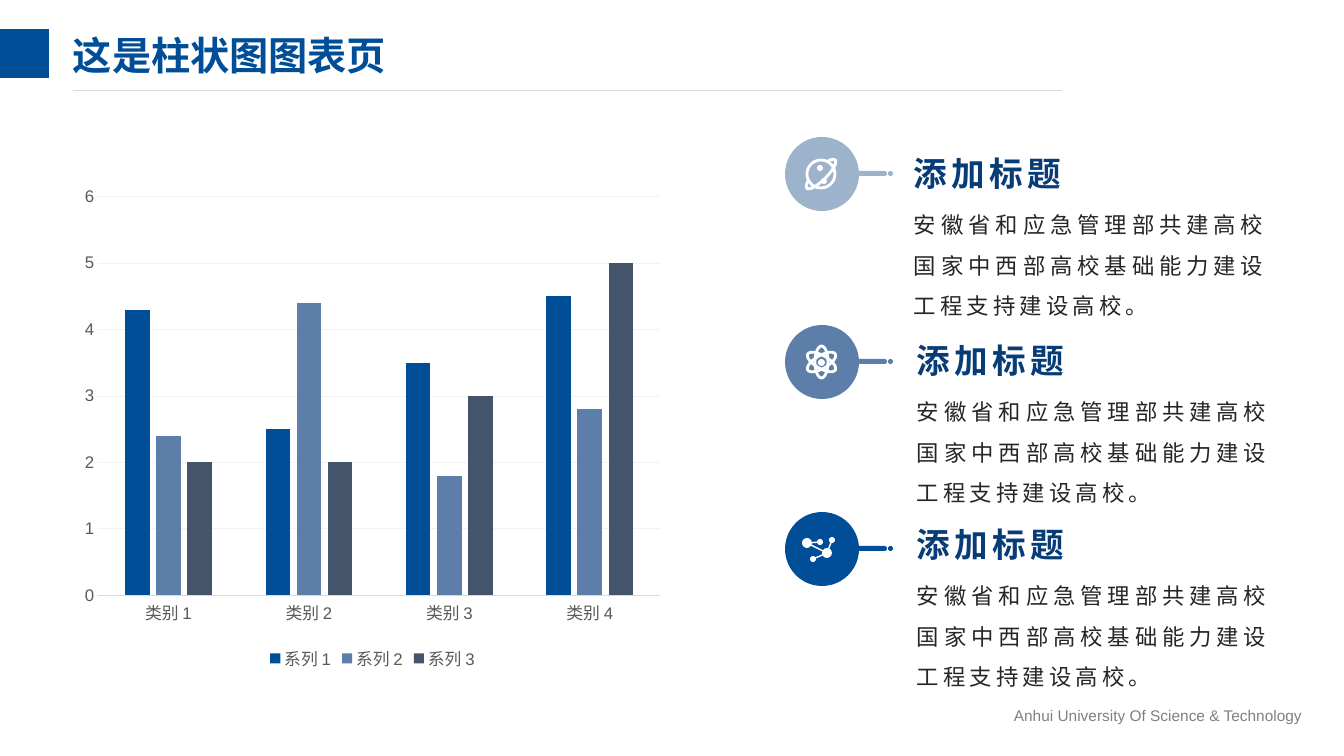
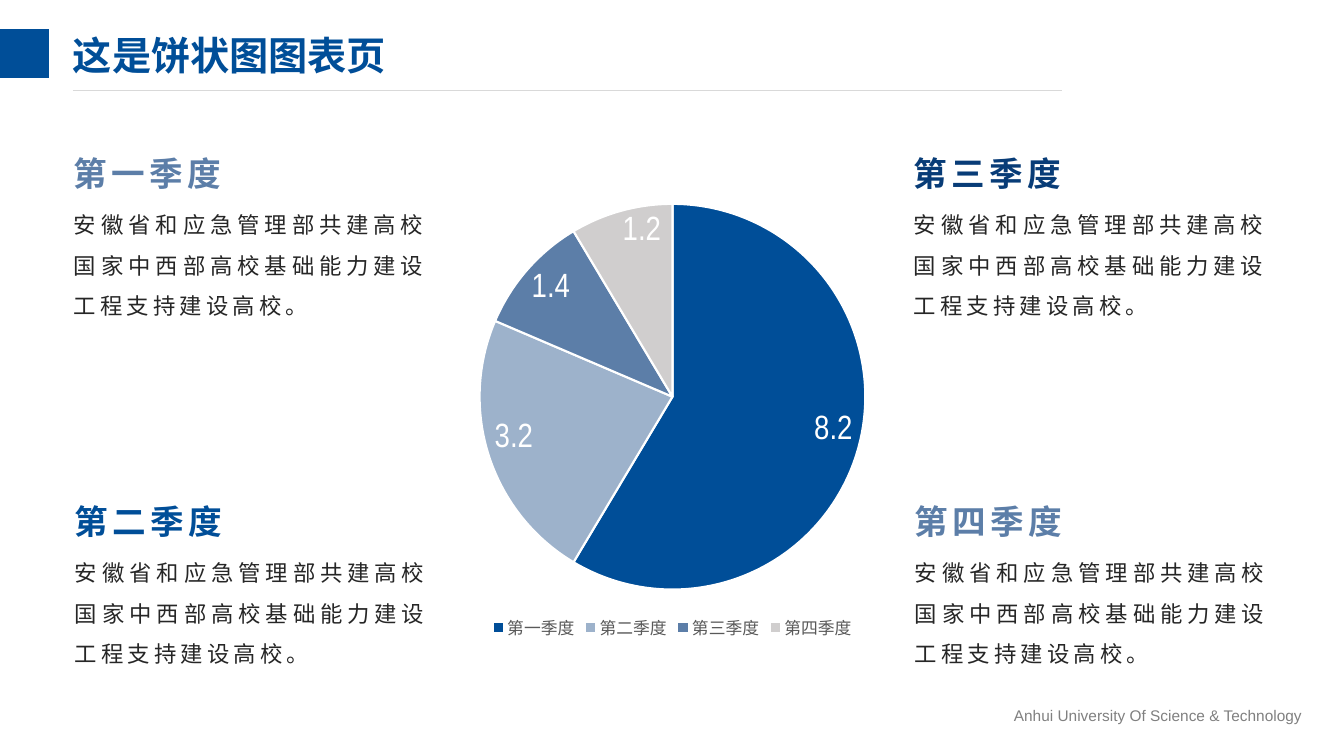
"""Build a column chart slide and a pie chart slide in one shared style."""
import lxml.etree
import pptx
import pptx.chart.data
import pptx.dml.color
import pptx.enum.chart
import pptx.enum.shapes
import pptx.enum.text
import pptx.oxml.ns
import pptx.util

PX = 9071
Pt = pptx.util.Pt
RGB = pptx.dml.color.RGBColor.from_string
MSO = pptx.enum.shapes.MSO_SHAPE
ALIGN = pptx.enum.text.PP_ALIGN
qn = pptx.oxml.ns.qn


class Theme:
    blue, steel, mist = RGB("004E98"), RGB("5C7EA8"), RGB("9DB2CB")
    navy, slate, silver = RGB("083C77"), RGB("44546A"), RGB("D0CECE")
    white, ink, label = RGB("FFFFFF"), RGB("262626"), RGB("595959")
    footer, rule, grid = RGB("808080"), RGB("D9D9D9"), RGB("F2F2F2")
    sans, cjk, display, narrow = "Arial", "Noto Sans CJK SC", "Montserrat", "Arial Narrow"
    title_pt, head_pt, body_pt, axis_pt, foot_pt = Pt(28), Pt(24), Pt(16), Pt(12), Pt(11)


BODY = "安徽省和应急管理部共建高校国家中西部高校基础能力建设工程支持建设高校。"


def add_shape(s, kind, x, y, w, h, fill=None, line=None, rot=0):
    sp = s.shapes.add_shape(kind, *(int(v * PX) for v in (x, y, w, h)))
    sp.shadow.inherit = False
    sp.rotation = rot
    if fill is None:
        sp.fill.background()
    else:
        sp.fill.solid()
        sp.fill.fore_color.rgb = fill
    if line is None:
        sp.line.fill.background()
    else:
        sp.line.color.rgb = line
        sp.line.width = Pt(2)
    return sp


def add_block(s, x, y, heading, color):
    rows = ((heading, 0, 152, 40, Theme.head_pt, color, True, ALIGN.LEFT, 1.0),
            (BODY, 45, 354, 118, Theme.body_pt, Theme.ink, False, ALIGN.JUSTIFY, 1.5))
    for text, dy, w, h, size, rgb, bold, align, spacing in rows:
        box = s.shapes.add_textbox(x * PX, (y + dy) * PX, w * PX, h * PX)
        tf = box.text_frame
        tf.word_wrap = True
        tf.margin_left = tf.margin_right = tf.margin_top = tf.margin_bottom = 0
        tf.text = text
        p = tf.paragraphs[0]
        p.alignment, p.line_spacing = align, spacing
        r = p.runs[0]
        r.font.name, r.font.size, r.font.bold = Theme.cjk, size, bold
        r.font.color.rgb = rgb
        rPr = r._r.get_or_add_rPr()
        rPr.set("spc", "300")
        lxml.etree.SubElement(rPr, qn("a:ea"), typeface=Theme.cjk)


prs = pptx.Presentation()
prs.slide_width, prs.slide_height = 1344 * PX, 756 * PX
layout = prs.slide_layouts[5]
for ph in list(layout.placeholders):
    if ph.placeholder_format.idx:
        ph.element.getparent().remove(ph.element)
    else:
        ph.left, ph.top, ph.width, ph.height = 73 * PX, 21 * PX, 959 * PX, 74 * PX

slides = []
for title in ("这是柱状图图表页", "这是饼状图图表页"):
    s = prs.slides.add_slide(layout)
    tf = s.shapes.title.text_frame
    tf.text = title
    tf.word_wrap = True
    tf.auto_size = pptx.enum.text.MSO_AUTO_SIZE.NONE
    tf.vertical_anchor = pptx.enum.text.MSO_ANCHOR.MIDDLE
    tf.margin_left = tf.margin_right = tf.margin_top = tf.margin_bottom = 0
    p = tf.paragraphs[0]
    p.alignment, p.line_spacing = ALIGN.LEFT, 0.9
    r = p.runs[0]
    r.font.name, r.font.size, r.font.bold = Theme.display, Theme.title_pt, True
    r.font.color.rgb = Theme.blue
    lxml.etree.SubElement(r._r.get_or_add_rPr(), qn("a:ea"), typeface=Theme.cjk)
    slides.append(s)
column_slide, pie_slide = slides

footer = column_slide.shapes.add_textbox(1004 * PX, 701 * PX, 316 * PX, 29 * PX)
footer.text_frame.word_wrap = False
footer.text_frame.text = "Anhui University Of Science & Technology"
r = footer.text_frame.paragraphs[0].runs[0]
r.font.name, r.font.size = Theme.sans, Theme.foot_pt
r.font.color.rgb = Theme.footer
band = add_shape(column_slide, MSO.RECTANGLE, 0, 29, 49, 49, Theme.blue)
rule = column_slide.shapes.add_connector(
    pptx.enum.shapes.MSO_CONNECTOR.STRAIGHT, 73 * PX, 90 * PX, 1062 * PX, 90 * PX)
rule.line.color.rgb, rule.line.width = Theme.rule, Pt(0.5)
lxml.etree.SubElement(rule.element.spPr, qn("a:effectLst"))
for sp in (footer, band, rule):
    layout.shapes.element.append(sp.element)

data = pptx.chart.data.CategoryChartData()
data.categories = ["类别 1", "类别 2", "类别 3", "类别 4"]
data.add_series("系列 1", (4.3, 2.5, 3.5, 4.5))
data.add_series("系列 2", (2.4, 4.4, 1.8, 2.8))
data.add_series("系列 3", (2, 2, 3, 5))
columns = column_slide.shapes.add_chart(
    pptx.enum.chart.XL_CHART_TYPE.COLUMN_CLUSTERED,
    73 * PX, 178 * PX, 599 * PX, 497 * PX, data).chart
data = pptx.chart.data.CategoryChartData()
data.categories = ["第一季度", "第二季度", "第三季度", "第四季度"]
data.add_series("Series 1", (8.2, 3.2, 1.4, 1.2))
pie = pie_slide.shapes.add_chart(
    pptx.enum.chart.XL_CHART_TYPE.PIE,
    332 * PX, 190 * PX, 681 * PX, 454 * PX, data).chart

for chart, font in ((columns, Theme.sans), (pie, Theme.cjk)):
    chart.has_title = False
    chart.font.name, chart.font.size = font, Theme.axis_pt
    chart.font.color.rgb = Theme.label
    chart.has_legend = True
    chart.legend.position = pptx.enum.chart.XL_LEGEND_POSITION.BOTTOM
    chart.legend.include_in_layout = False
    chart.legend.font.name, chart.legend.font.size = font, Theme.axis_pt
    chart.legend.font.color.rgb = Theme.label

plot = columns.plots[0]
plot.gap_width, plot.overlap, plot.vary_by_categories = 219, -27, False
for series, color in zip(plot.series, (Theme.blue, Theme.steel, Theme.slate)):
    series.format.fill.solid()
    series.format.fill.fore_color.rgb = color
for axis in (columns.category_axis, columns.value_axis):
    axis.major_tick_mark = axis.minor_tick_mark = pptx.enum.chart.XL_TICK_MARK.NONE
    axis.tick_labels.font.name, axis.tick_labels.font.size = Theme.sans, Theme.axis_pt
    axis.tick_labels.font.color.rgb = Theme.label
columns.category_axis.format.line.color.rgb = Theme.rule
columns.category_axis.format.line.width = Pt(0.75)
axis = columns.value_axis
axis.minimum_scale, axis.maximum_scale, axis.major_unit = 0, 6, 1
axis.format.line.fill.background()
axis.major_gridlines.format.line.color.rgb = Theme.grid
axis.major_gridlines.format.line.width = Pt(0.75)

plot = pie.plots[0]
plot.vary_by_categories = True
for i, color in enumerate((Theme.blue, Theme.mist, Theme.steel, Theme.silver)):
    point = plot.series[0].points[i]
    point.format.fill.solid()
    point.format.fill.fore_color.rgb = color
    point.format.line.color.rgb, point.format.line.width = Theme.white, Pt(1.5)
plot.has_data_labels = True
labels = plot.data_labels
labels.show_value, labels.show_percentage = True, False
labels.position = pptx.enum.chart.XL_LABEL_POSITION.INSIDE_END
labels.font.name, labels.font.size = Theme.narrow, Theme.head_pt
labels.font.color.rgb = Theme.white

s = column_slide
cx = 822
for cy, color, x, y in ((174, Theme.mist, 914, 153), (362, Theme.steel, 917, 340),
                        (549, Theme.blue, 917, 524)):
    add_shape(s, MSO.OVAL, cx - 37, cy - 37, 74, 74, color)
    bar = add_shape(s, MSO.ROUNDED_RECTANGLE, 850, cy - 3, 37, 5, color)
    bar.adjustments[0] = 0.5
    add_shape(s, MSO.OVAL, 888, cy - 3, 5, 5, color)
    add_block(s, x, y, "添加标题", Theme.navy)

cy = 174
ring = (cx - 21, cy - 6, 40, 12)
add_shape(s, MSO.OVAL, *ring, line=Theme.white, rot=-45)
add_shape(s, MSO.OVAL, cx - 15, cy - 14, 28, 28, Theme.mist, Theme.white)
arc = add_shape(s, MSO.ARC, *ring, line=Theme.white, rot=-45)
arc.adjustments[0], arc.adjustments[1] = 0, 108
for dx, dy in ((-5, -9), (-1, 4)):
    add_shape(s, MSO.OVAL, cx + dx, cy + dy, 6, 6, Theme.white)

cy = 362
for rot in (0, 60, 120):
    add_shape(s, MSO.OVAL, cx - 7, cy - 16, 13, 32, line=Theme.white, rot=rot)
add_shape(s, MSO.OVAL, cx - 4, cy - 3, 7, 7, Theme.white)

cy = 549
nodes = [(cx + dx, cy + dy, d) for dx, dy, d in
         ((-15, -6, 10), (-2, -7, 6), (10, -9, 6), (5, 4, 10), (-9, 10, 6))]
for x, y, d in nodes:
    add_shape(s, MSO.OVAL, x - d // 2, y - d // 2, d, d, Theme.white)
for a, b in ((0, 1), (0, 3), (3, 2), (3, 4)):
    link = s.shapes.add_connector(
        pptx.enum.shapes.MSO_CONNECTOR.STRAIGHT,
        *(v * PX for v in nodes[a][:2] + nodes[b][:2]))
    link.line.color.rgb, link.line.width = Theme.white, Pt(1)
    lxml.etree.SubElement(link.element.spPr, qn("a:effectLst"))

for x, y, heading, color in ((914, 153, "第三季度", Theme.navy),
                             (915, 501, "第四季度", Theme.steel),
                             (74, 153, "第一季度", Theme.steel),
                             (75, 501, "第二季度", Theme.blue)):
    add_block(pie_slide, x, y, heading, color)

prs.save("out.pptx")
